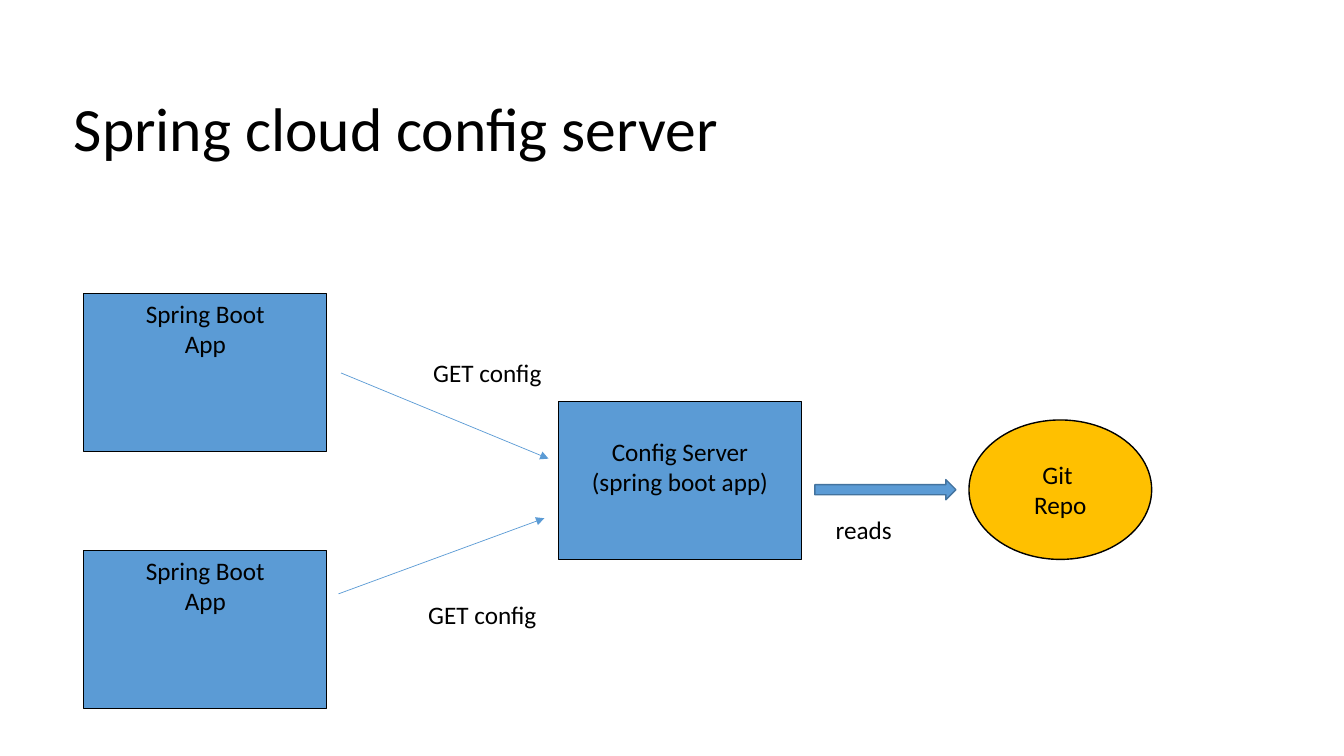
from dataclasses import dataclass

from lxml.etree import SubElement
from pptx import Presentation
from pptx.dml.color import RGBColor
from pptx.enum.shapes import MSO_CONNECTOR, MSO_SHAPE
from pptx.enum.text import MSO_ANCHOR, PP_ALIGN
from pptx.oxml.ns import qn
from pptx.util import Inches, Pt


@dataclass(frozen=True)
class Theme:
    font: str = "Calibri"
    title_size: int = 44
    body_size: int = 18
    ink: RGBColor = RGBColor.from_string("000000")
    blue: RGBColor = RGBColor.from_string("5B9BD5")
    dark_blue: RGBColor = RGBColor.from_string("43739E")
    gold: RGBColor = RGBColor.from_string("FFC000")


theme = Theme()
deck = Presentation()
deck.slide_width, deck.slide_height = Inches(13.33), Inches(7.5)
page = deck.slides.add_slide(deck.slide_layouts[6])

# Grid of 160 columns by 90 rows
COLUMN = deck.slide_width / 160
ROW = deck.slide_height / 90


def place(left, top, width, height):
    return [round(left * COLUMN), round(top * ROW),
            round(width * COLUMN), round(height * ROW)]


def write(box, text, size=theme.body_size, align=PP_ALIGN.LEFT):
    box.text_frame.text = text
    for para in box.text_frame.paragraphs:
        para.alignment = align
        for span in para.runs:
            span.font.name = theme.font
            span.font.size = Pt(size)
            span.font.color.rgb = theme.ink


# Title and arrow labels
for text, size, area in [
    ("Spring cloud config server", theme.title_size, (7.6, 10.1, 80, 19)),
    ("GET config", theme.body_size, (50.4, 41.9, 15.5, 4.8)),
    ("GET config", theme.body_size, (49.8, 70.7, 15.5, 4.8)),
    ("reads", theme.body_size, (98.3, 60.6, 9.1, 4.8)),
]:
    box = page.shapes.add_textbox(*place(*area))
    box.text_frame.word_wrap = False
    write(box, text, size)

# Apps, config server, repository and the block arrow between them
APP_TEXT = "Spring Boot\nApp"
APP_SIZE = (28.9, 18.85)
INSET = Inches(0.05)
SERVER_INSET = INSET + Inches(0.3)
for kind, text, area, fill, line, weight, anchor, inset in [
    (MSO_SHAPE.RECTANGLE, APP_TEXT, (10, 34.9, *APP_SIZE),
     theme.blue, theme.ink, 0.75, MSO_ANCHOR.TOP, INSET),
    (MSO_SHAPE.RECTANGLE, APP_TEXT, (10, 65.5, *APP_SIZE),
     theme.blue, theme.ink, 0.75, MSO_ANCHOR.TOP, INSET),
    (MSO_SHAPE.RECTANGLE, "Config Server\n(spring boot app)", (66.5, 47.75, *APP_SIZE),
     theme.blue, theme.ink, 0.75, MSO_ANCHOR.TOP, SERVER_INSET),
    (MSO_SHAPE.OVAL, "Git \nRepo", (115.35, 50, 21.75, 16.6),
     theme.gold, theme.ink, 1, MSO_ANCHOR.MIDDLE, INSET),
    (MSO_SHAPE.RIGHT_ARROW, "", (97, 57.1, 16.8, 2.4),
     theme.blue, theme.dark_blue, 1, MSO_ANCHOR.MIDDLE, INSET),
]:
    node = page.shapes.add_shape(kind, *place(*area))
    node.shadow.inherit = False
    node.fill.solid()
    node.fill.fore_color.rgb = fill
    node.line.color.rgb = line
    node.line.width = Pt(weight)
    node.text_frame.vertical_anchor = anchor
    node.text_frame.margin_top = inset
    if text:
        write(node, text, align=PP_ALIGN.CENTER)

# Request arrows from the apps to the config server
for ends in [(40.6, 44.4, 65.3, 54.6), (40.3, 70.7, 64.8, 61.7)]:
    request = page.shapes.add_connector(MSO_CONNECTOR.STRAIGHT, *place(*ends))
    request.line.color.rgb = theme.blue
    request.line.width = Pt(0.5)
    SubElement(request.line._get_or_add_ln(), qn("a:tailEnd"), type="triangle")
    SubElement(request._element.spPr, qn("a:effectLst"))

deck.save("out.pptx")
